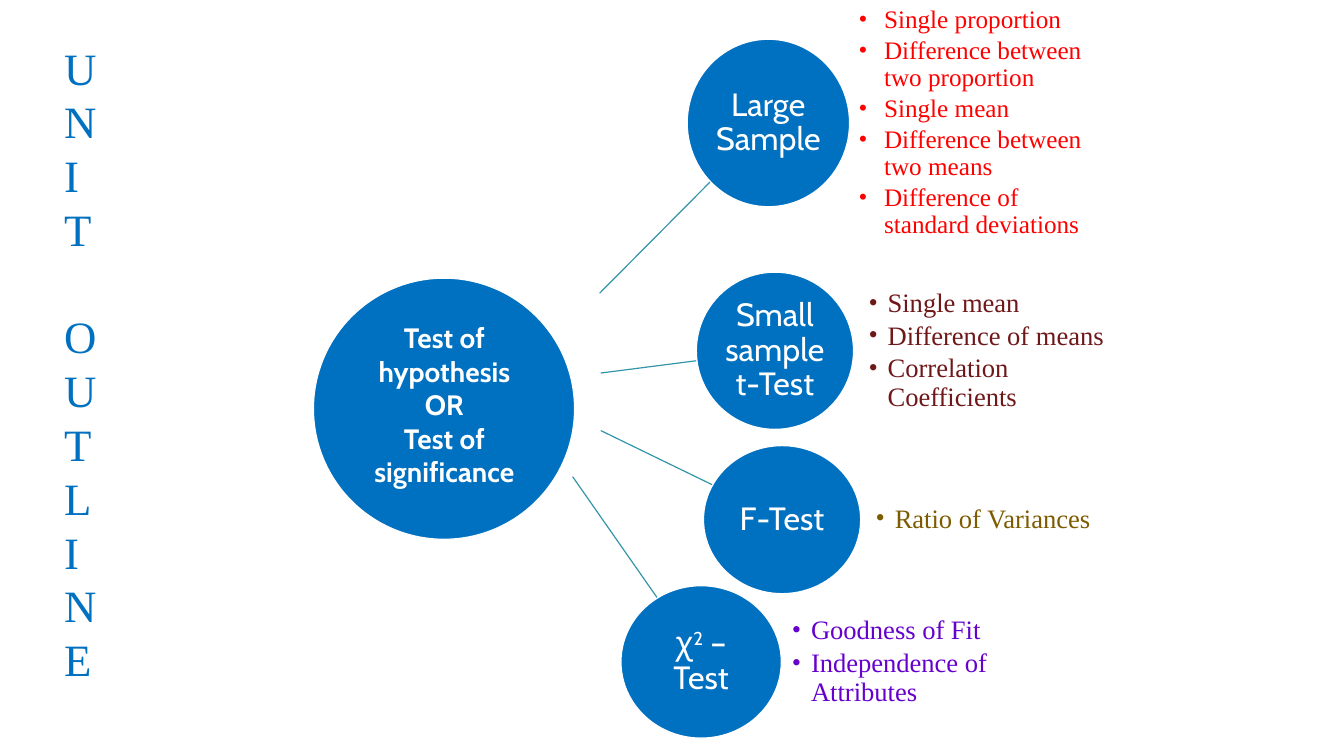
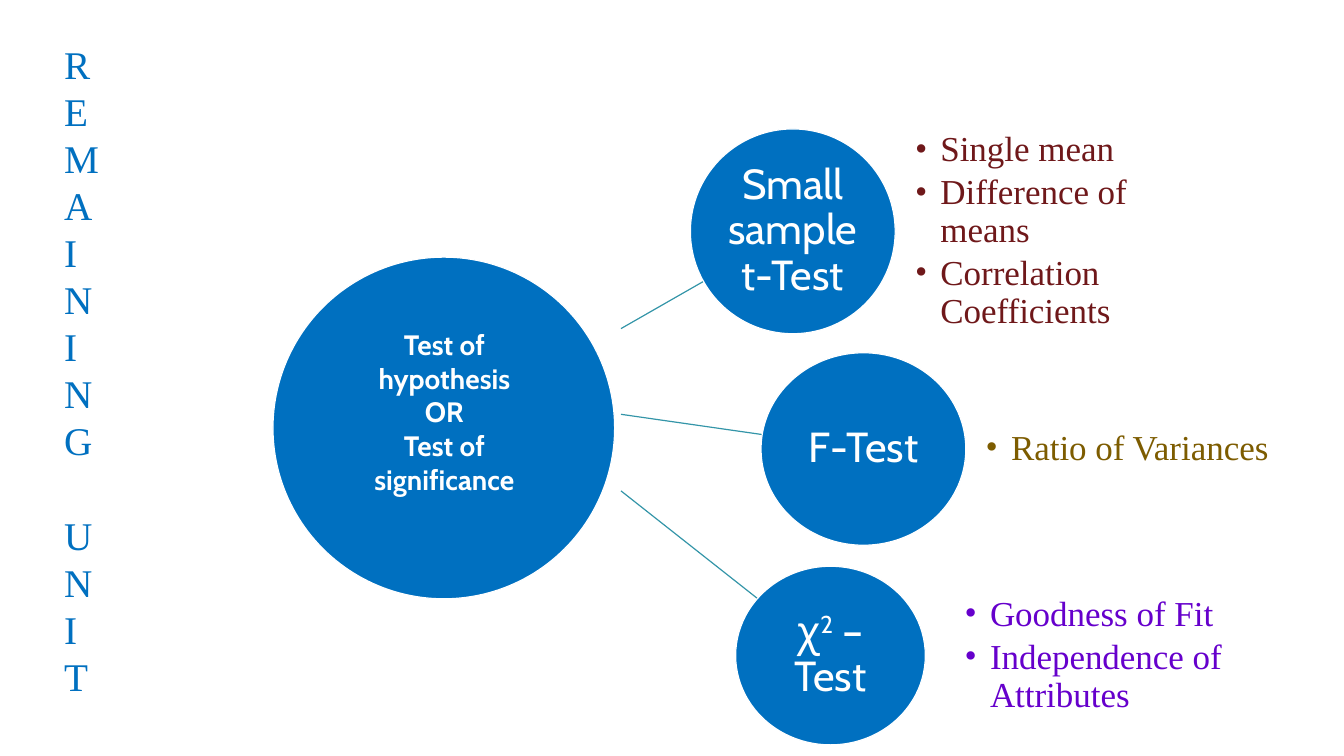
from dataclasses import dataclass

from lxml.etree import SubElement
from pptx import Presentation
from pptx.dml.color import RGBColor
from pptx.enum.shapes import MSO_CONNECTOR, MSO_SHAPE
from pptx.enum.text import MSO_ANCHOR, PP_ALIGN
from pptx.oxml.ns import qn
from pptx.util import Cm, Pt

# Shared style
BLUE, WHITE, TEAL = "0070C0", "FFFFFF", "3395A8"
RED, MAROON, OLIVE, PURPLE = "FF0000", "6F181A", "7D5C00", "6600CC"
SANS, SERIF = "Cabin", "Times New Roman"
OUTLINE_WIDTH = Pt(0.85)
HUB_LINES = ["Test of hypothesis", "OR", "Test of significance"]

# Wording of the branches; ^ encloses a superscript
LARGE = ("Large Sample", RED, [
    "Single proportion", "Difference between two proportion", "Single mean",
    "Difference between two means", "Difference of standard deviations"])
SMALL = ("Small sample t-Test", MAROON, [
    "Single mean", "Difference of means", "Correlation Coefficients"])
F_TEST = ("F-Test", OLIVE, ["Ratio of Variances"])
CHI_TEST = ("χ^2^ – Test", PURPLE, [
    "Goodness of Fit", "Independence of Attributes"])


@dataclass
class Branch:
    topic: tuple
    circle: tuple      # left, top, width, height in cm
    spoke: tuple       # start x, start y, end x, end y in cm
    list_left: float
    list_size: int
    indent: float


def color(value):
    return RGBColor.from_string(value)


def place(left, top, width, height):
    return Cm(left), Cm(top), Cm(width), Cm(height)


def add_text(para, text, *, size, font, fill, bold=False):
    """Add spans to a paragraph; parts between ^ are superscript."""
    for number, part in enumerate(text.split("^")):
        if not part:
            continue
        span = para.add_run()
        span.text = part
        span.font.size = Pt(size)
        span.font.name = font
        span.font.bold = bold
        span.font.color.rgb = color(fill)
        if number % 2:
            span._r.get_or_add_rPr().set("baseline", "30000")


def add_bullet(para, indent):
    properties = para._p.get_or_add_pPr()
    properties.set("marL", str(Cm(indent)))
    properties.set("indent", str(-Cm(indent)))
    SubElement(properties, qn("a:buFont")).set("typeface", SERIF)
    SubElement(properties, qn("a:buChar")).set("char", "•")


def write(shape, lines, *, align=PP_ALIGN.LEFT, anchor=MSO_ANCHOR.TOP,
          margin=None, line_spacing=None, before=0, after=0, indent=None,
          **text_format):
    """Fill a shape with paragraphs; before separates them, after follows each."""
    frame = shape.text_frame
    frame.word_wrap = True
    frame.vertical_anchor = anchor
    if margin is not None:
        frame.margin_left = frame.margin_right = Cm(margin)
        frame.margin_top = frame.margin_bottom = Cm(margin)
    for number, line in enumerate(lines):
        para = frame.add_paragraph() if number else frame.paragraphs[0]
        para.alignment = align
        para.line_spacing = line_spacing
        para.space_before = Pt(before if number else 0)
        para.space_after = Pt(after)
        if indent is not None:
            add_bullet(para, indent)
        add_text(para, line, **text_format)


def add_circle(page, bounds):
    circle = page.shapes.add_shape(MSO_SHAPE.OVAL, *place(*bounds))
    circle.shadow.inherit = False
    circle.fill.solid()
    circle.fill.fore_color.rgb = color(BLUE)
    circle.line.color.rgb = color(WHITE)
    circle.line.width = OUTLINE_WIDTH
    return circle


def add_spoke(page, ends):
    spoke = page.shapes.add_connector(MSO_CONNECTOR.STRAIGHT, *place(*ends))
    spoke.line.color.rgb = color(TEAL)
    spoke.line.width = OUTLINE_WIDTH
    SubElement(spoke._element.spPr, qn("a:effectLst"))


def add_vertical_title(page, words, size):
    """The narrow box breaks each word into one letter per line."""
    box = page.shapes.add_textbox(*place(1.37, 0.89, 1.24, 16.8))
    write(box, words, size=size, font=SERIF, fill=BLUE, before=1.2 * size)


def add_branch(page, branch, circle_size, list_width):
    label, list_color, items = branch.topic
    _, top, _, height = branch.circle
    circle = add_circle(page, branch.circle)
    write(circle, [label], align=PP_ALIGN.CENTER, anchor=MSO_ANCHOR.MIDDLE,
          margin=0.05, line_spacing=0.9, after=0.35 * circle_size,
          size=circle_size, font=SANS, fill=WHITE)
    box = page.shapes.add_textbox(
        *place(branch.list_left, top, list_width, height))
    write(box, items, anchor=MSO_ANCHOR.MIDDLE, margin=0, line_spacing=0.9,
          after=0.15 * branch.list_size, indent=branch.indent,
          size=branch.list_size, font=SERIF, fill=list_color)


def add_outline_page(deck, *, title, title_size, hub, hub_text_top, branches,
                     circle_size, list_width):
    page = deck.slides.add_slide(deck.slide_layouts[6])
    # Spokes lie behind the circles
    for branch in branches:
        add_spoke(page, branch.spoke)
    add_circle(page, hub)
    for branch in branches:
        add_branch(page, branch, circle_size, list_width)
    # Hub wording
    box = page.shapes.add_textbox(*place(8.9, hub_text_top, 4.6, 4.52))
    write(box, HUB_LINES, align=PP_ALIGN.CENTER, size=20, font=SANS,
          fill=WHITE, bold=True)
    add_vertical_title(page, title, title_size)


def main():
    deck = Presentation()
    deck.slide_width, deck.slide_height = Cm(33.87), Cm(19.05)

    # Whole unit
    add_outline_page(
        deck, title=["UNIT", "OUTLINE"], title_size=32,
        hub=(7.9, 7.01, 6.58, 6.58), hub_text_top=7.95,
        circle_size=23, list_width=6,
        branches=[
            Branch(LARGE, (17.32, 0.99, 4.09, 4.22),
                   (15.11, 7.39, 17.91, 4.57), 21.64, 18, 0.64),
            Branch(SMALL, (17.55, 6.86, 3.96, 3.96),
                   (15.14, 9.4, 17.55, 9.09), 21.89, 19, 0.48),
            Branch(F_TEST, (17.73, 11.23, 3.96, 3.73),
                   (15.14, 10.85, 17.96, 12.22), 22.07, 19, 0.48),
            Branch(CHI_TEST, (15.65, 14.76, 4.04, 3.84),
                   (14.43, 12.01, 16.56, 15.06), 19.96, 19, 0.48),
        ])

    # Remaining topics
    add_outline_page(
        deck, title=["REMAINING", "UNIT"], title_size=28,
        hub=(6.88, 6.48, 8.61, 8.61), hub_text_top=8.13,
        circle_size=30, list_width=7.6,
        branches=[
            Branch(SMALL, (17.4, 3.25, 5.16, 5.16),
                   (15.65, 8.28, 17.73, 7.09), 23.06, 25, 0.64),
            Branch(F_TEST, (19.18, 8.89, 5.16, 4.85),
                   (15.65, 10.44, 19.2, 10.95), 24.84, 25, 0.64),
            Branch(CHI_TEST, (18.54, 14.27, 4.78, 4.5),
                   (15.65, 12.37, 19.1, 15.09), 24.31, 25, 0.64),
        ])

    deck.save("out.pptx")


if __name__ == "__main__":
    main()
